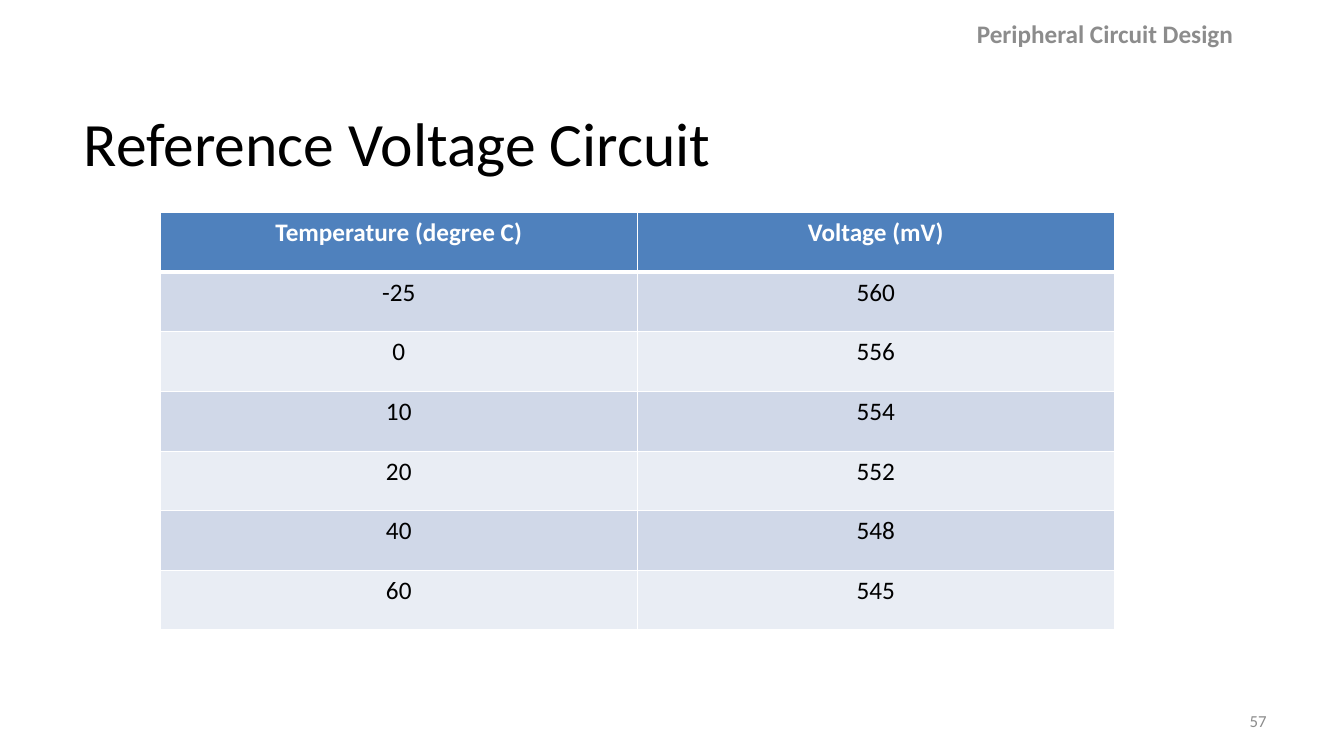
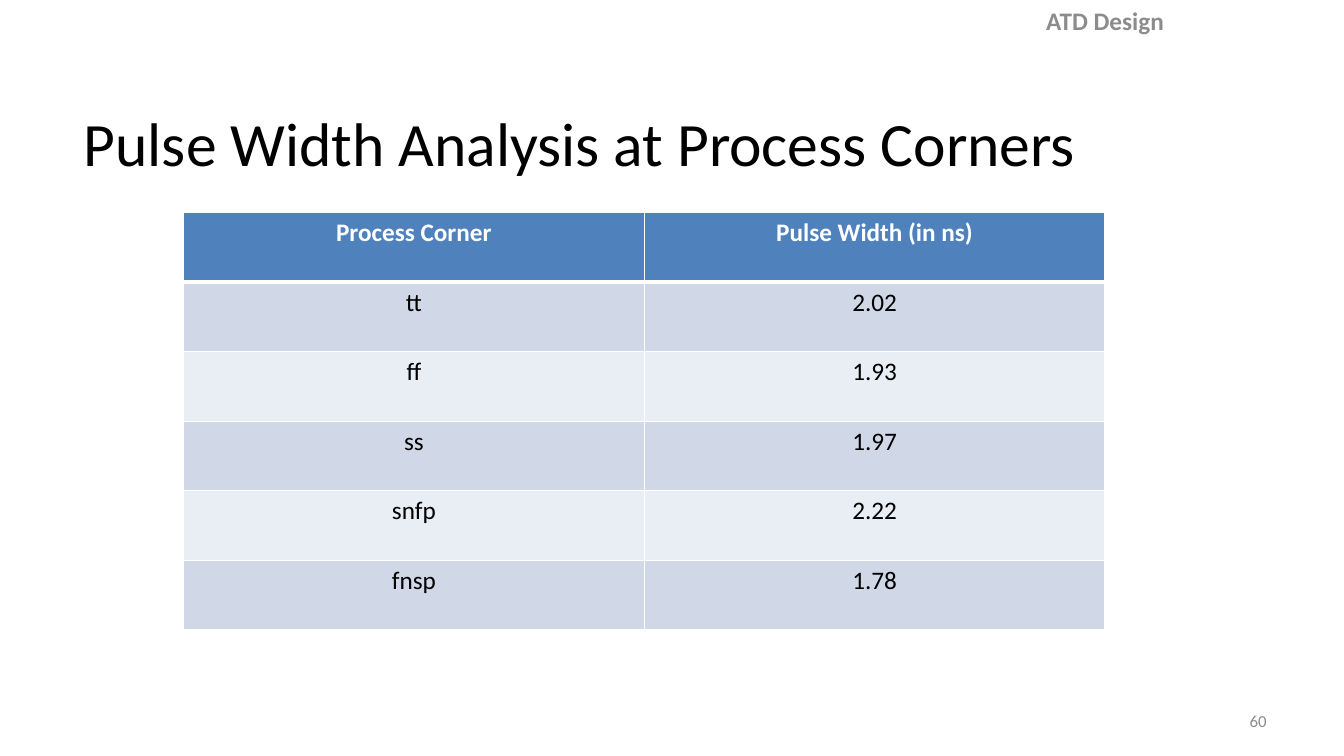
from lxml import etree
from pptx import Presentation
from pptx.dml.color import RGBColor
from pptx.enum.text import MSO_ANCHOR, MSO_AUTO_SIZE, PP_ALIGN
from pptx.oxml.ns import qn
from pptx.util import Inches, Pt

LEFT, CENTER, RIGHT = PP_ALIGN.LEFT, PP_ALIGN.CENTER, PP_ALIGN.RIGHT
MIDDLE, TOP = MSO_ANCHOR.MIDDLE, MSO_ANCHOR.TOP
NO_AUTOFIT = MSO_AUTO_SIZE.NONE
TITLE_ONLY = 5

BLACK = RGBColor(0x00, 0x00, 0x00)
WHITE = RGBColor(0xFF, 0xFF, 0xFF)
GREY = RGBColor(0x8C, 0x8C, 0x8C)
HEADER_BLUE = RGBColor(0x4F, 0x81, 0xBD)
BANDS = (RGBColor(0xD0, 0xD8, 0xE8), RGBColor(0xE9, 0xED, 0xF4))

TITLE = {"size": Pt(44), "bold": False, "color": BLACK}
SECTION = {"size": Pt(18), "bold": True, "color": GREY}
NUMBER = {"size": Pt(12), "bold": False, "color": GREY}
TABLE_HEADER = {"size": Pt(18), "bold": True, "color": WHITE}
TABLE_BODY = {"size": Pt(18), "bold": False, "color": BLACK}

TABLE_TOP, TABLE_HEIGHT = 2.11, 4.14


class Deck:
    """Holds the shared style and the current slide."""

    font_name = "Calibri"

    def __init__(self):
        self.presentation = Presentation()
        self.presentation.slide_width = Inches(13.33)
        self.presentation.slide_height = Inches(7.5)
        self.slide = None

    def format_text(self, frame, text, style, alignment):
        frame.word_wrap = True
        paragraph = frame.paragraphs[0]
        paragraph.text = text
        paragraph.alignment = alignment
        font = paragraph.runs[0].font
        font.name = self.font_name
        for name, value in style.items():
            if name == "color":
                font.color.rgb = value
            else:
                setattr(font, name, value)

    def add_slide(self, title):
        layout = self.presentation.slide_layouts[TITLE_ONLY]
        self.slide = self.presentation.slides.add_slide(layout)
        shape = self.slide.shapes.title
        place = {"left": 0.73, "top": 0.78, "width": 12, "height": 1.25}
        for name, value in place.items():
            setattr(shape, name, Inches(value))
        shape.text_frame.auto_size = NO_AUTOFIT
        shape.text_frame.vertical_anchor = MIDDLE
        self.format_text(shape.text_frame, title, TITLE, LEFT)

    def add_text(self, text, left, top, width, style, alignment):
        box = self.slide.shapes.add_textbox(
            Inches(left), Inches(top), Inches(width), Inches(0.4))
        box.text_frame.vertical_anchor = MIDDLE
        self.format_text(box.text_frame, text, style, alignment)

    def add_section(self, text, top):
        self.add_text(text, 8.85, top, 4.22, SECTION, CENTER)

    def add_number(self, number):
        self.add_text(str(number), 9.55, 6.95, 3.11, NUMBER, RIGHT)

    def add_borders(self, cell, top, bottom):
        properties = cell._tc.get_or_add_tcPr()
        for tag, points in (("lnL", 1), ("lnR", 1), ("lnT", top), ("lnB", bottom)):
            line = etree.SubElement(properties, qn(f"a:{tag}"), w=str(int(Pt(points))))
            fill = etree.SubElement(line, qn("a:solidFill"))
            etree.SubElement(fill, qn("a:srgbClr"), val=str(WHITE))

    def add_table(self, rows, left, column_width):
        columns = len(rows[0])
        table = self.slide.shapes.add_table(
            len(rows), columns, Inches(left), Inches(TABLE_TOP),
            Inches(column_width * columns), Inches(TABLE_HEIGHT)).table
        for row_index, row in enumerate(rows):
            is_header = row_index == 0
            style = TABLE_HEADER if is_header else TABLE_BODY
            color = HEADER_BLUE if is_header else BANDS[(row_index - 1) % 2]
            for column_index, text in enumerate(row):
                cell = table.cell(row_index, column_index)
                # A thick rule separates the header from the body
                self.add_borders(cell, top=3 if row_index == 1 else 1,
                                 bottom=3 if is_header else 1)
                cell.fill.solid()
                cell.fill.fore_color.rgb = color
                cell.vertical_anchor = TOP
                self.format_text(cell.text_frame, text, style, CENTER)


def main():
    deck = Deck()

    # Reference voltage against temperature
    deck.add_slide("Reference Voltage Circuit")
    deck.add_table([
        ("Temperature (degree C)", "Voltage (mV)"),
        ("-25", "560"),
        ("0", "556"),
        ("10", "554"),
        ("20", "552"),
        ("40", "548"),
        ("60", "545"),
    ], left=1.59, column_width=4.73)
    deck.add_section("Peripheral Circuit Design", top=0.13)
    deck.add_number(57)

    # Pulse width at each process corner
    deck.add_slide("Pulse Width Analysis at Process Corners")
    deck.add_table([
        ("Process Corner", "Pulse Width (in ns)"),
        ("tt", "2.02"),
        ("ff", "1.93"),
        ("ss", "1.97"),
        ("snfp", "2.22"),
        ("fnsp", "1.78"),
    ], left=1.82, column_width=4.57)
    deck.add_section("ATD Design", top=0)
    deck.add_number(60)

    deck.presentation.save("out.pptx")


if __name__ == "__main__":
    main()
